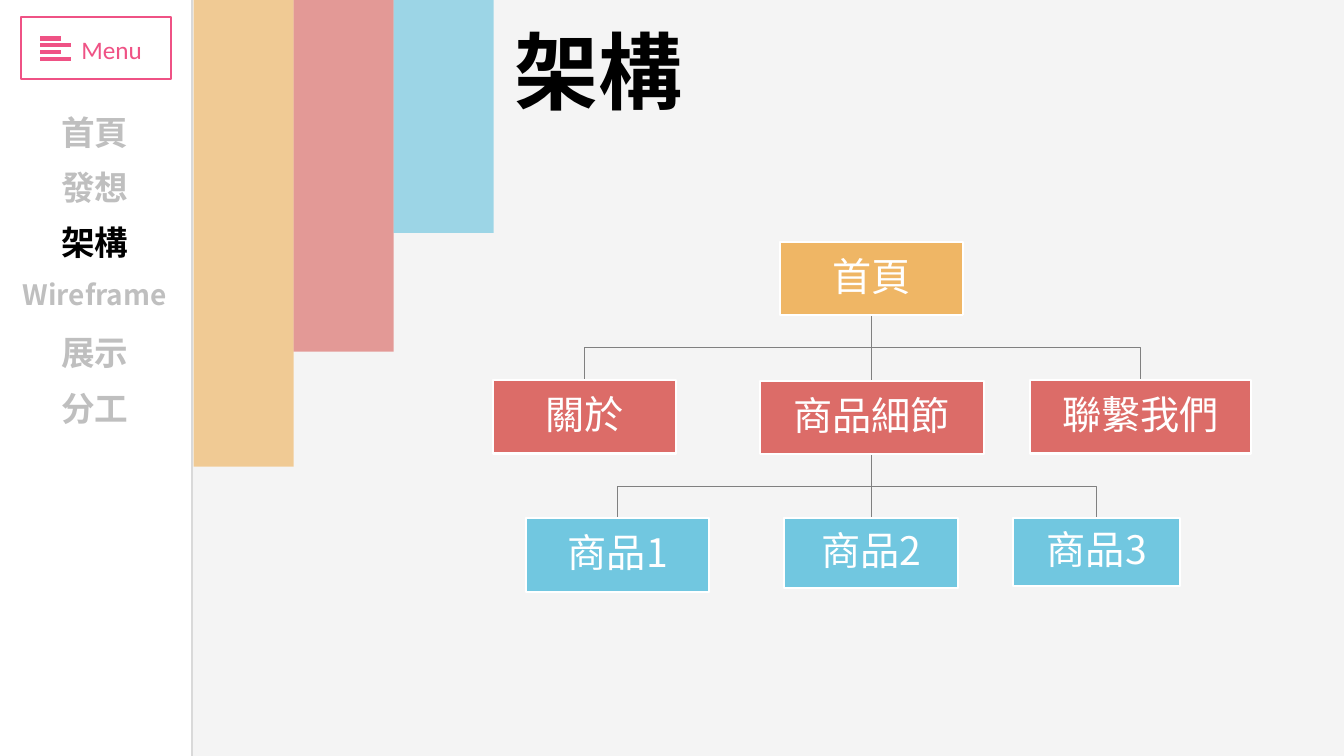
from lxml.etree import SubElement
from pptx import Presentation
from pptx.dml.color import RGBColor
from pptx.enum.shapes import MSO_CONNECTOR, MSO_SHAPE
from pptx.enum.text import MSO_ANCHOR, MSO_AUTO_SIZE, PP_ALIGN
from pptx.oxml.ns import qn
from pptx.util import Cm, Pt

COLORS = {
    "background": "F4F4F4", "white": "FFFFFF", "black": "000000",
    "pink": "EF5285", "muted": "BFBFBF", "divider": "D9D9D9",
    "branch": "808080", "orange": "EEA236", "red": "D43F3A", "blue": "46B8DA",
}
CJK_FONT = "Noto Sans CJK SC"


def color(name):
    return RGBColor.from_string(COLORS[name])


def write(frame, text, size, tint, font=CJK_FONT, bold=False, align=PP_ALIGN.LEFT):
    para = frame.paragraphs[0]
    para.text = text
    para.alignment = align
    para.font.name = font
    para.font.size = Pt(size)
    para.font.bold = bold
    para.font.color.rgb = color(tint)
    properties = para._p.get_or_add_pPr().find(qn("a:defRPr"))
    SubElement(properties, qn("a:ea")).set("typeface", font)
    return para


def fit(frame):
    frame.word_wrap = False
    frame.auto_size = MSO_AUTO_SIZE.SHAPE_TO_FIT_TEXT
    frame.vertical_anchor = MSO_ANCHOR.TOP


def add_label(page, box, text, size, tint, **style):
    frame = page.shapes.add_textbox(*map(Cm, box)).text_frame
    fit(frame)
    write(frame, text, size, tint, **style)


def add_box(page, box, fill=None, opacity=100, line=None):
    shape = page.shapes.add_shape(MSO_SHAPE.RECTANGLE, *map(Cm, box))
    shape.shadow.inherit = False
    if fill:
        shape.fill.solid()
        shape.fill.fore_color.rgb = color(fill)
        if opacity < 100:
            tint = shape.fill._xPr.find(qn("a:solidFill"))[0]
            SubElement(tint, qn("a:alpha")).set("val", str(opacity * 1000))
    else:
        shape.fill.background()
    if line:
        shape.line.color.rgb = color(line)
        shape.line.width = Pt(1.5)
    else:
        shape.line.fill.background()
    return shape


def add_line(page, start, end, tint, width):
    line = page.shapes.add_connector(
        MSO_CONNECTOR.STRAIGHT, *map(Cm, (*start, *end)))
    line.line.color.rgb = color(tint)
    line.line.width = Pt(width)
    SubElement(line._element.spPr, qn("a:effectLst"))


def add_menu_button(page, box):
    left, top, width, height = box
    add_box(page, box, line="pink")
    add_label(page, (left + 1.27, top + 0.31, 2.06, 1.02), "Menu", 18, "pink",
              font="Calibri")
    for row, length in enumerate((0.52, 0.78, 0.52, 0.78)):
        x, y = left + 0.49, top + 0.54 + 0.17 * row
        add_line(page, (x, y), (x + length, y), "pink", 3)


def add_sidebar(page, box, items, current):
    left, top, width, height = box
    add_box(page, box, "white")
    add_line(page, (left + width, top), (left + width, top + height), "divider", 1.5)
    add_menu_button(page, (left + 0.53, top + 0.43, 3.78, 1.57))
    center = left + 2.39
    for row, (text, size, item_width) in enumerate(items):
        tint = "black" if text == current else "muted"
        item = (center - item_width / 2, top + 2.69 + 1.39 * row, item_width, 1.27)
        add_label(page, item, text, size, tint, bold=True, align=PP_ALIGN.CENTER)


def add_ribbons(page, box):
    left, top, width, height = box
    step = width / 3
    ribbons = (("orange", height), ("red", 8.86), ("blue", 5.87))
    for column, (tint, length) in enumerate(ribbons):
        add_box(page, (left + step * column, top, step, length), tint, 50)


def add_title(page, box, text):
    title = page.shapes.title
    title.left, title.top, title.width, title.height = map(Cm, box)
    fit(title.text_frame)
    write(title.text_frame, text, 60, "black", bold=True)


def add_branch(page, parent, child):
    start_x, start_y = parent[0] + parent[2] / 2, parent[1] + parent[3]
    end_x, end_y = child[0] + child[2] / 2, child[1]
    if abs(start_x - end_x) < 0.1:
        add_line(page, (start_x, start_y), (start_x, end_y), "branch", 1)
        return
    middle = (start_y + end_y) / 2
    builder = page.shapes.build_freeform(Cm(start_x), Cm(start_y))
    bends = ((start_x, middle), (end_x, middle), (end_x, end_y))
    builder.add_line_segments([(Cm(x), Cm(y)) for x, y in bends], close=False)
    branch = builder.convert_to_shape()
    branch.shadow.inherit = False
    branch.fill.background()
    branch.line.color.rgb = color("branch")
    branch.line.width = Pt(1)


def add_site_map(page, origin, nodes):
    left, top = origin
    places = {text: (left + x, top + y, width, height)
              for text, parent, tint, (x, y, width, height) in nodes}
    for text, parent, tint, box in nodes:
        if parent:
            add_branch(page, places[parent], places[text])
    for text, parent, tint, box in nodes:
        frame = add_box(page, places[text], tint, 75, "white").text_frame
        frame.word_wrap = True
        frame.vertical_anchor = MSO_ANCHOR.MIDDLE
        frame.margin_left = frame.margin_right = Cm(0.05)
        frame.margin_top = frame.margin_bottom = Cm(0.05)
        para = write(frame, text, 28, "white", align=PP_ALIGN.CENTER)
        para.line_spacing = 0.9
        para.space_after = Pt(9.8)


MENU_ITEMS = (
    ("首頁", 24, 2.24), ("發想", 24, 2.24), ("架構", 24, 2.24),
    ("Wireframe", 20, 4.14), ("展示", 24, 2.24), ("分工", 24, 2.24),
)
SITE_NODES = (
    ("首頁", None, "orange", (7.24, 0, 4.62, 1.85)),
    ("關於", "首頁", "red", (0, 3.48, 4.62, 1.85)),
    ("商品細節", "首頁", "red", (6.73, 3.5, 5.64, 1.85)),
    ("聯繫我們", "首頁", "red", (13.54, 3.48, 5.56, 1.85)),
    ("商品1", "商品細節", "blue", (0.84, 6.96, 4.62, 1.85)),
    ("商品2", "商品細節", "blue", (7.34, 6.96, 4.39, 1.75)),
    ("商品3", "商品細節", "blue", (13.11, 6.96, 4.22, 1.7)),
)

deck = Presentation()
deck.slide_width, deck.slide_height = Cm(33.87), Cm(19.05)
page = deck.slides.add_slide(deck.slide_layouts[5])
page.background.fill.solid()
page.background.fill.fore_color.rgb = color("background")
add_sidebar(page, (0, 0, 4.85, 19.05), MENU_ITEMS, "架構")
add_ribbons(page, (4.88, 0, 7.56, 11.76))
add_title(page, (12.7, 0.36, 4.78, 2.82), "架構")
add_site_map(page, (12.42, 6.1), SITE_NODES)
deck.save("out.pptx")
